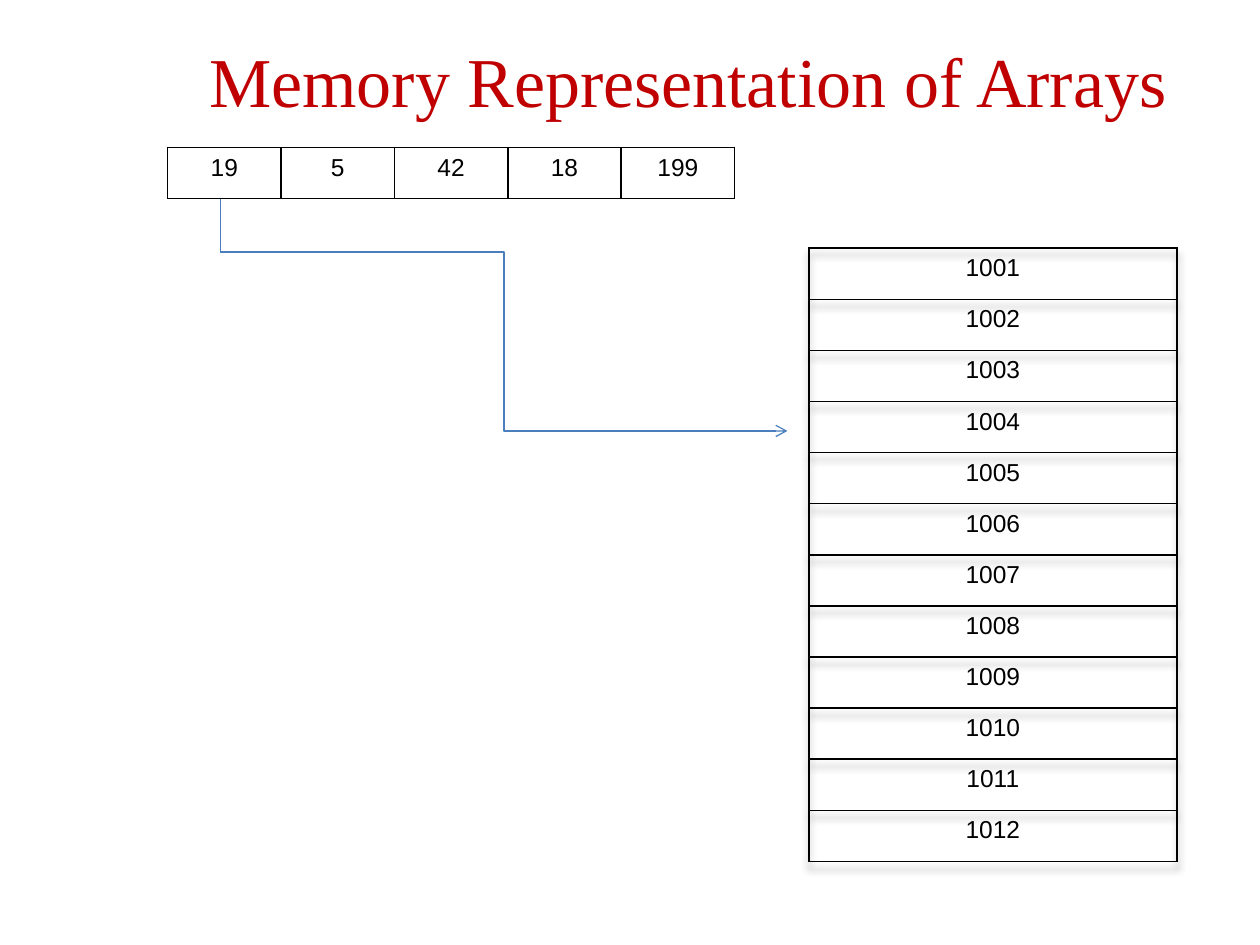
from lxml import etree
from pptx import Presentation
from pptx.dml.color import RGBColor
from pptx.enum import shapes, text
from pptx.oxml import parse_xml
from pptx.oxml.ns import nsdecls, qn
from pptx.util import Inches, Pt

# Content
TITLE = "Memory Representation of Arrays"
VALUES = [["19", "5", "42", "18", "199"]]
ADDRESSES = [[str(number)] for number in range(1001, 1013)]

COLORS = {"title": "C00000", "text": "000000", "border": "000000", "arrow": "4B7EBC"}
ROW_HEIGHT = 4.87 / 12


def write(frame, content, font="Arial", size=14, color="text"):
    paragraph = frame.paragraphs[0]
    paragraph.alignment = text.PP_ALIGN.CENTER
    run = paragraph.add_run()
    run.text = content
    run.font.name = font
    run.font.size = Pt(size)
    run.font.color.rgb = RGBColor.from_string(COLORS[color])


def add_borders(cell):
    properties = cell._tc.get_or_add_tcPr()
    for side in ("lnL", "lnR", "lnT", "lnB"):
        properties.append(parse_xml(
            f'<a:{side} {nsdecls("a")} w="{Pt(1)}"><a:solidFill>'
            f'<a:srgbClr val="{COLORS["border"]}"/></a:solidFill></a:{side}>'))


def add_grid(slide, rows, left, top, column_width):
    columns = len(rows[0])
    table = slide.shapes.add_table(
        len(rows), columns, Inches(left), Inches(top),
        Inches(column_width * columns), Inches(ROW_HEIGHT * len(rows))).table
    table.first_row = False
    table.horz_banding = False
    for column in table.columns:
        column.width = Inches(column_width)
    for row, contents in zip(table.rows, rows):
        row.height = Inches(ROW_HEIGHT)
        for cell, content in zip(row.cells, contents):
            add_borders(cell)
            cell.fill.background()
            write(cell.text_frame, content)
    return table


def add_shadow(table):
    table._tbl.tblPr.insert(0, parse_xml(
        f'<a:effectLst {nsdecls("a")}><a:outerShdw blurRad="{Pt(4)}" dist="{Pt(4)}" '
        'dir="5400000" rotWithShape="0"><a:srgbClr val="000000">'
        '<a:alpha val="40000"/></a:srgbClr></a:outerShdw></a:effectLst>'))


def add_line(slide, kind, start, end, arrow=False):
    connector = slide.shapes.add_connector(kind, *map(Inches, start + end))
    connector.line.color.rgb = RGBColor.from_string(COLORS["arrow"])
    connector.line.width = Pt(0.75)
    if arrow:
        etree.SubElement(connector.line._get_or_add_ln(), qn("a:tailEnd"), type="arrow")
    etree.SubElement(connector._element.spPr, qn("a:effectLst"))


presentation = Presentation()
presentation.slide_width = Inches(10)
presentation.slide_height = Inches(7.5)
slide = presentation.slides.add_slide(presentation.slide_layouts[6])

# Title
title = slide.shapes.add_textbox(Inches(1.25), Inches(0.25), Inches(8.42), Inches(0.77))
title.text_frame.word_wrap = True
write(title.text_frame, TITLE, font="Times New Roman", size=40, color="title")

# Memory addresses and array values
add_shadow(add_grid(slide, ADDRESSES, 6.42, 1.97, 2.92))
add_grid(slide, VALUES, 1.33, 1.17, 0.9)

# Arrow from the first value to its address
bend = (1.75, 2)
add_line(slide, shapes.MSO_CONNECTOR.ELBOW, bend, (6.25, 3.42), arrow=True)
add_line(slide, shapes.MSO_CONNECTOR.STRAIGHT, bend, (1.75, 1.58))

presentation.save("out.pptx")
